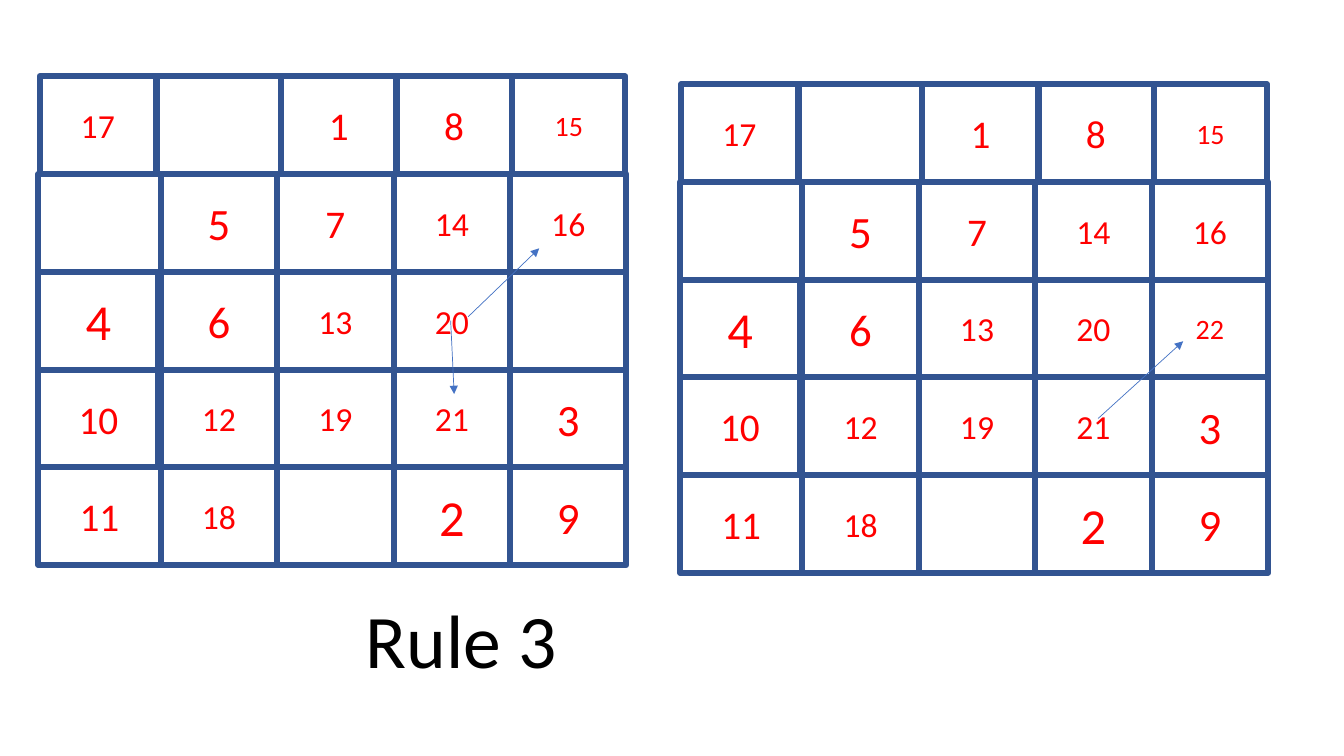
import dataclasses

import pptx
import pptx.dml.color
import pptx.enum.dml
import pptx.enum.shapes
import pptx.enum.text
import pptx.oxml
import pptx.oxml.ns
import pptx.util


@dataclasses.dataclass(frozen=True)
class Theme:
    font: str = "Calibri"
    border: str = "325491"
    arrow: str = "4472C4"
    number: str = "FF0000"
    caption: str = "000000"
    border_width: float = 4.25
    arrow_width: float = 0.5
    caption_size: int = 54
    number_size: int = 24
    column: float = 1.155
    row: float = 0.97


NUMBER_SIZES = {
    15: 20, 22: 20,
    1: 28, 7: 28, 8: 28, 10: 28, 11: 28,
    3: 32, 5: 32, 6: 32, 9: 32,
    2: 36, 4: 36,
}
TOP_ROW = (0.01, 1.02, 2.08, 3.07, 4.07)
LOWER_ROW = (0, 1.05, 2.05, 3.05, 4.05)
ROW_LAYOUTS = [
    (TOP_ROW, (1, 1.06, 1, 1, 0.97)),
    (LOWER_ROW, (1.05, 1, 1, 1, 1)),
    (LOWER_ROW, (1.03, 1, 1, 1, 1)),
    (LOWER_ROW, (1.03, 1, 1, 1, 1)),
    (LOWER_ROW, (1.05, 1, 1, 1, 1)),
]
SQUARE_BEFORE = [
    (17, None, 1, 8, 15),
    (None, 5, 7, 14, 16),
    (4, 6, 13, 20, None),
    (10, 12, 19, 21, 3),
    (11, 18, None, 2, 9),
]
SQUARE_AFTER = [
    (4, 6, 13, 20, 22) if row == 2 else numbers
    for row, numbers in enumerate(SQUARE_BEFORE)
]


class MagicSquareSlide:
    def __init__(self, presentation, theme):
        self.theme = theme
        self.slide = presentation.slides.add_slide(presentation.slide_layouts[6])

    def place(self, column, row):
        return (
            pptx.util.Inches(column * self.theme.column),
            pptx.util.Inches(row * self.theme.row),
        )

    def color(self, value):
        return pptx.dml.color.RGBColor.from_string(value)

    def apply(self, target, values):
        for name, value in values.items():
            setattr(target, name, value)

    def add_text(self, shape, text, size, color, wrap):
        frame = shape.text_frame
        self.apply(frame, {
            "word_wrap": wrap,
            "vertical_anchor": pptx.enum.text.MSO_ANCHOR.MIDDLE,
        })
        paragraph = frame.paragraphs[0]
        paragraph.alignment = pptx.enum.text.PP_ALIGN.CENTER
        run = paragraph.add_run()
        run.text = text
        self.apply(run.font, {"name": self.theme.font, "size": pptx.util.Pt(size)})
        run.font.color.rgb = self.color(color)

    def cell(self, group, column, row, width, number):
        shape = group.shapes.add_shape(
            pptx.enum.shapes.MSO_SHAPE.RECTANGLE,
            *self.place(column, row), *self.place(width, 1),
        )
        shape.shadow.inherit = False
        shape.fill.background()
        shape.line.color.rgb = self.color(self.theme.border)
        shape.line.width = pptx.util.Pt(self.theme.border_width)
        if number is not None:
            size = NUMBER_SIZES.get(number, self.theme.number_size)
            self.add_text(shape, str(number), size, self.theme.number, True)

    def square(self, left, top, rows):
        group = self.slide.shapes.add_group_shape()
        for row, ((columns, widths), numbers) in enumerate(zip(ROW_LAYOUTS, rows)):
            for column, width, number in zip(columns, widths, numbers):
                self.cell(group, left + column, top + row, width, number)

    def arrow(self, start, end):
        connector = self.slide.shapes.add_connector(
            pptx.enum.shapes.MSO_CONNECTOR.STRAIGHT,
            *self.place(*start), *self.place(*end),
        )
        connector.line.color.rgb = self.color(self.theme.arrow)
        connector.line.width = pptx.util.Pt(self.theme.arrow_width)
        tail = pptx.oxml.parse_xml(
            f'<a:tailEnd {pptx.oxml.ns.nsdecls("a")} type="triangle"/>'
        )
        connector.line._get_or_add_ln().append(tail)
        effects = pptx.oxml.parse_xml(f'<a:effectLst {pptx.oxml.ns.nsdecls("a")}/>')
        connector._element.spPr.append(effects)

    def caption(self, text, column, row, width, height):
        shape = self.slide.shapes.add_textbox(
            *self.place(column, row), *self.place(width, height)
        )
        self.add_text(shape, text, self.theme.caption_size, self.theme.caption, False)


def main():
    presentation = pptx.Presentation()
    presentation.slide_width = pptx.util.Inches(13.33)
    presentation.slide_height = pptx.util.Inches(7.5)
    page = MagicSquareSlide(presentation, Theme())
    page.square(0.33, 0.78, SQUARE_BEFORE)
    page.arrow((4.02, 3.24), (4.63, 2.54))
    page.arrow((3.87, 3.28), (3.9, 4.03))
    page.square(5.84, 0.86, SQUARE_AFTER)
    page.arrow((9.43, 4.28), (10.16, 3.49))
    page.caption("Rule 3", 3.04, 6.01, 1.84, 1.04)
    presentation.save("out.pptx")


if __name__ == "__main__":
    main()
